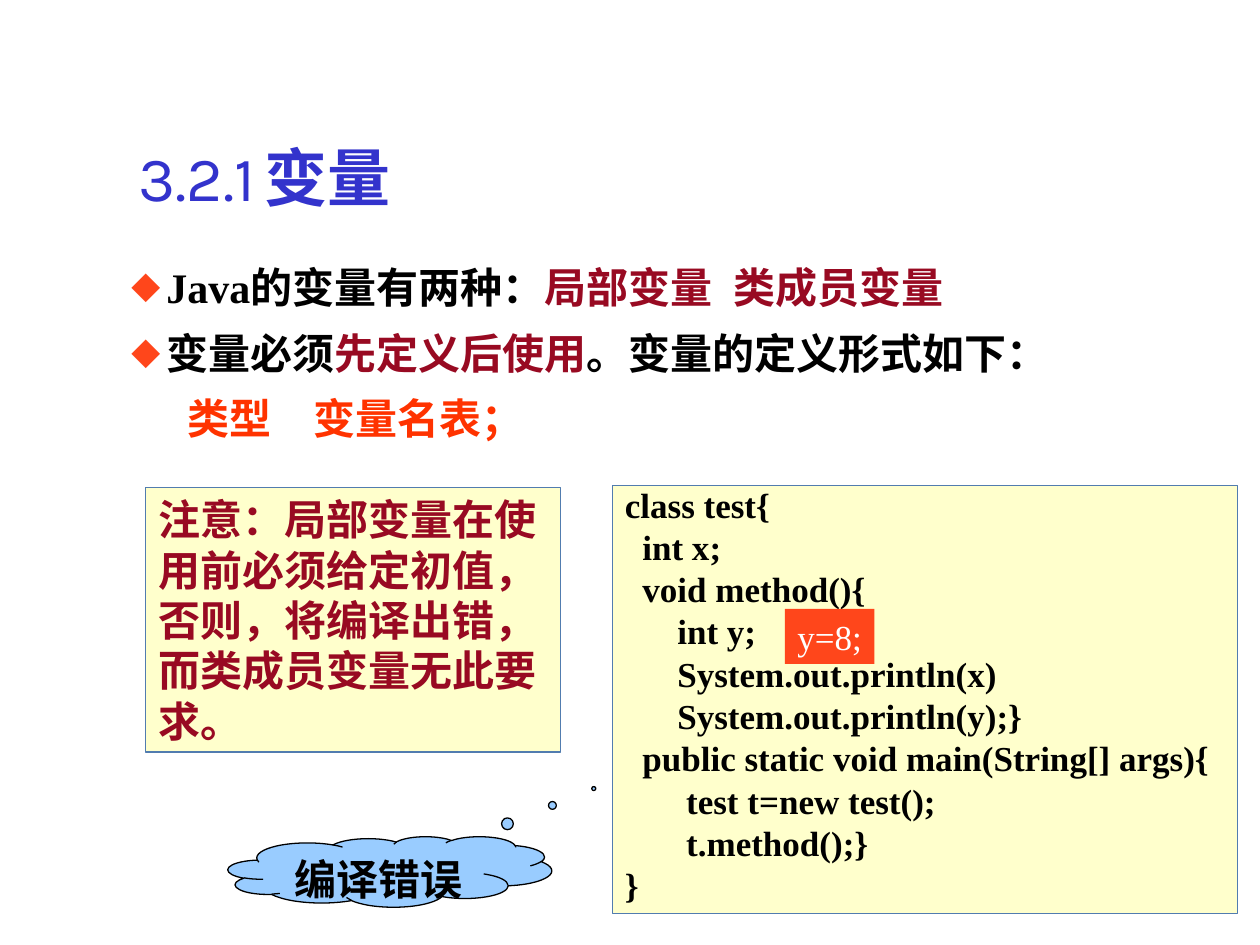
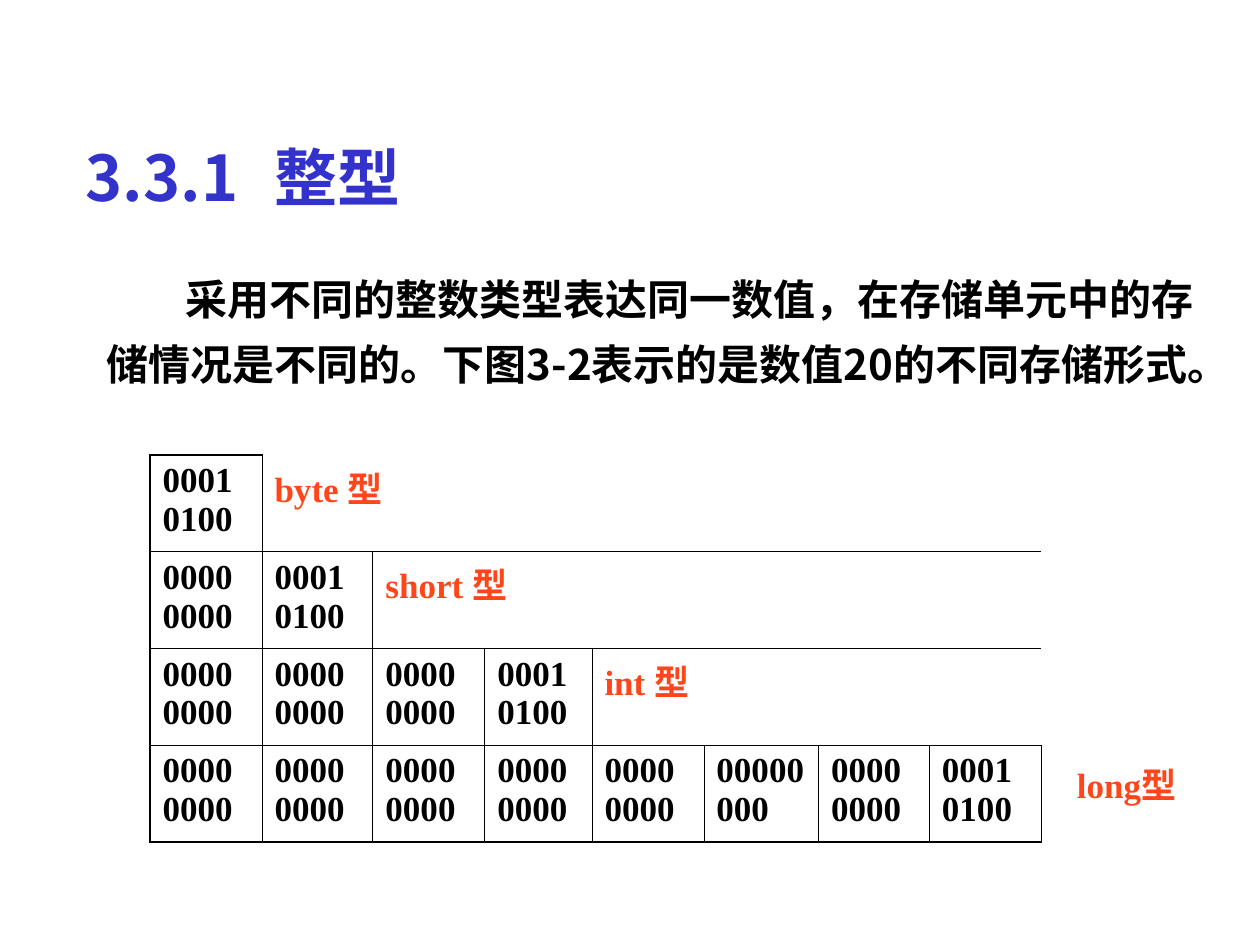
"""Builds two lecture slides on variables and integer types."""
from lxml import etree
from pptx import Presentation
from pptx import util as u
from pptx.dml.color import RGBColor
from pptx.enum import shapes, text
from pptx.oxml.ns import qn

Pt = u.Pt
BLACK = RGBColor(0, 0, 0)
WHITE = RGBColor(0xFF, 0xFF, 0xFF)
BLUE = RGBColor(0x33, 0x33, 0xCC)
WINE = RGBColor(0x98, 0x0A, 0x22)
ORANGE = RGBColor(0xFF, 0x46, 0x1B)
SCARLET = RGBColor(0xFF, 0x33, 0x00)
CREAM = RGBColor(0xFF, 0xFF, 0xCC)
SKY = RGBColor(0x99, 0xCC, 0xFF)
STEEL = RGBColor(0x51, 0x7C, 0xAF)
SERIF, SANS, KARLA = "Times New Roman", "Noto Sans CJK SC", "Karla"
PLAIN_TABLE = "{2D5ABB26-0587-4C30-8999-92F81FD0307C}"
THIN, THICK = 0.45, 1.08


def add_xml(parent, tag, **attributes):
    """Append a drawing element with the given attributes."""
    return etree.SubElement(parent, qn(tag), {k: str(v) for k, v in attributes.items()})


class Lecture:
    """Holds the deck, its style and the current page."""

    def __init__(self):
        self.deck = Presentation()
        self.deck.slide_width, self.deck.slide_height = Pt(720), Pt(540)
        self.page = None

    def span(self, para, words, color=BLACK, size=24, font=SERIF, bold=True):
        """Add one run to a paragraph."""
        run = para.add_run()
        run.text = words
        run.font.name, run.font.size, run.font.bold = font, Pt(size), bold
        run.font.color.rgb = color
        add_xml(run.font._element, "a:ea", typeface=SANS)

    def layout(self, para, pitch=None, before=0, margin=0, indent=0, bullet=False, tabs=()):
        """Set the spacing, indents, bullet and tab stops of a paragraph."""
        if pitch:
            para.line_spacing = Pt(pitch)
        para.space_before = Pt(before)
        props = para._p.get_or_add_pPr()
        props.set("marL", str(Pt(margin)))
        props.set("indent", str(Pt(indent)))
        if bullet:
            add_xml(add_xml(props, "a:buClr"), "a:srgbClr", val=ORANGE)
            add_xml(props, "a:buSzPct", val=70000)
            add_xml(props, "a:buFont", typeface=SANS)
            add_xml(props, "a:buChar", char="◆")
        if tabs:
            stops = add_xml(props, "a:tabLst")
            for stop in tabs:
                add_xml(stops, "a:tab", pos=Pt(stop), algn="l")

    def title_page(self, place, tab, spans):
        """Start a page and fill its title."""
        self.page = self.deck.slides.add_slide(self.deck.slide_layouts[5])
        box = self.page.shapes.title
        box.left, box.top, box.width, box.height = map(Pt, place)
        frame = box.text_frame
        frame.auto_size = text.MSO_AUTO_SIZE.NONE
        frame.vertical_anchor = text.MSO_ANCHOR.BOTTOM
        para = frame.paragraphs[0]
        para.alignment = text.PP_ALIGN.LEFT
        self.layout(para, tabs=[tab])
        for words, font, bold in spans:
            self.span(para, words, BLUE, 36, font, bold)

    def text_box(self, place):
        """Add a wrapping text box and return its frame."""
        frame = self.page.shapes.add_textbox(*map(Pt, place)).text_frame
        frame.word_wrap = True
        return frame

    def panel(self, kind, place, fill, line=None, wrap=True):
        """Add a filled shape with text at its top."""
        box = self.page.shapes.add_shape(kind, *map(Pt, place))
        box.shadow.inherit = False
        box.fill.solid()
        box.fill.fore_color.rgb = fill
        if line is None:
            box.line.fill.background()
        else:
            box.line.color.rgb, box.line.width = line, Pt(0.74)
        box.text_frame.word_wrap = wrap
        box.text_frame.vertical_anchor = text.MSO_ANCHOR.TOP
        box.text_frame.paragraphs[0].alignment = text.PP_ALIGN.LEFT
        return box

    def paragraphs(self, frame, count):
        """Return the given number of left-aligned paragraphs."""
        paras = [frame.paragraphs[0]] + [frame.add_paragraph() for _ in range(count - 1)]
        for para in paras:
            para.alignment = text.PP_ALIGN.LEFT
        return paras

    def borders(self, cell, left, right, top, bottom):
        """Draw the four edges of a cell."""
        props = cell._tc.get_or_add_tcPr()
        for side, width in zip("LRTB", (left, right, top, bottom)):
            edge = add_xml(props, "a:ln" + side, w=Pt(width))
            add_xml(add_xml(edge, "a:solidFill"), "a:srgbClr", val=BLACK)

    def byte_table(self, place, widths, row_height, rows):
        """Add the staircase of bytes, each row followed by its type name."""
        left, top = place
        frame = self.page.shapes.add_table(len(rows), len(widths), Pt(left), Pt(top),
                                           Pt(sum(widths)), Pt(row_height * len(rows)))
        table = frame.table
        table.first_row = table.horz_banding = False
        for style in frame._element.iter(qn("a:tableStyleId")):
            style.text = PLAIN_TABLE
        for column, width in zip(table.columns, widths):
            column.width = Pt(width)
        last_row, last_col = len(rows) - 1, len(widths) - 1
        for r, (count, label) in enumerate(rows):
            table.rows[r].height = Pt(row_height)
            for c in range(len(widths)):
                cell = table.cell(r, c)
                if c < count:
                    self.borders(cell, THICK if c == 0 else THIN, THICK if c == last_col else THIN,
                                 THICK if r == 0 else THIN, THICK if r == last_row else THIN)
                    digits = "00010100" if c == count - 1 else "00000000"
                    self.span(cell.text_frame.paragraphs[0], digits, size=20)
                cell.fill.background()
            if label:
                name = table.cell(r, count)
                name.merge(table.cell(r, last_col))
                self.span(name.text_frame.paragraphs[0], label, ORANGE, 20)


def variables(lecture):
    """Build the page on variables."""
    lecture.title_page((72, 77.8, 391.7, 48.2), 92.5,
                       [("3.2.1\t", KARLA, False), ("变量", SANS, True)])
    lines = [
        (dict(margin=24, indent=-20, bullet=True),
         [("Java的变量有两种：", BLACK), ("局部变量\u2002类成员变量", WINE)]),
        (dict(margin=24, indent=-20, bullet=True),
         [("变量必须", BLACK), ("先定义后使用", WINE), ("。变量的定义形式如下：", BLACK)]),
        (dict(tabs=[82, 163]), [("\t类型\t变量名表；", SCARLET)]),
    ]
    frame = lecture.text_box((64, 137.5, 635.8, 119.5))
    for para, (style, spans) in zip(lecture.paragraphs(frame, len(lines)), lines):
        lecture.layout(para, pitch=37.4, **style)
        for words, color in spans:
            lecture.span(para, words, color)

    rectangle = shapes.MSO_SHAPE.RECTANGLE
    note = lecture.panel(rectangle, (83.3, 278.6, 237, 151.2), CREAM, STEEL)
    para = note.text_frame.paragraphs[0]
    lecture.layout(para, pitch=28.8)
    lecture.span(para, "注意：局部变量在使用前必须给定初值，否则，将编译出错，而类成员变量无此要求。", WINE)

    code = [(0, "class test{"), (10, "int x;"), (10, "void method(){"), (30, "int y;"),
            (30, "System.out.println(x)"), (30, "System.out.println(y);}"),
            (10, "public static void main(String[] args){"),
            (35, "test t=new test();"), (35, "t.method();}"), (0, "}")]
    listing = lecture.panel(rectangle, (350, 277.3, 357.2, 244.8), CREAM, STEEL)
    for para, (margin, words) in zip(lecture.paragraphs(listing.text_frame, len(code)), code):
        lecture.layout(para, pitch=19.2, before=5, margin=margin)
        lecture.span(para, words, size=20)

    cloud = lecture.panel(shapes.MSO_SHAPE.CLOUD_CALLOUT, (130.3, 478, 185, 40.3), SKY, BLACK)
    cloud.adjustments[0], cloud.adjustments[1] = 0.63, -1.18
    para = cloud.text_frame.paragraphs[0]
    para.alignment = text.PP_ALIGN.CENTER
    lecture.span(para, "编译错误")

    fix = lecture.panel(rectangle, (448.5, 347.9, 51.1, 31.5), ORANGE, wrap=False)
    para = fix.text_frame.paragraphs[0]
    lecture.layout(para, before=5)
    lecture.span(para, "y=8;", WHITE, 20, bold=False)


def integers(lecture):
    """Build the page on integer types."""
    lecture.title_page((41.8, 75.6, 612, 50.4), 132, [("3.3.1\t整型", SANS, True)])
    para = lecture.text_box((54, 144, 635.8, 119.5)).paragraphs[0]
    lecture.layout(para, pitch=37.4, indent=45)
    lecture.span(para, "采用不同的整数类型表达同一数值，在存储单元中的存储情况是不同的。"
                       "下图3-2表示的是数值20的不同存储形式。", font=SANS)
    lecture.byte_table((85.7, 260), [64, 63.4, 64, 61.2, 64, 65.5, 63.4, 64], 55.3,
                       [(1, "byte 型"), (2, "short 型"), (4, "int 型"), (8, None)])
    para = lecture.text_box((598.3, 432.7, 84, 55.4)).paragraphs[0]
    lecture.layout(para, indent=10)
    lecture.span(para, "long型", ORANGE, 20)


lecture = Lecture()
variables(lecture)
integers(lecture)
lecture.deck.save("out.pptx")
